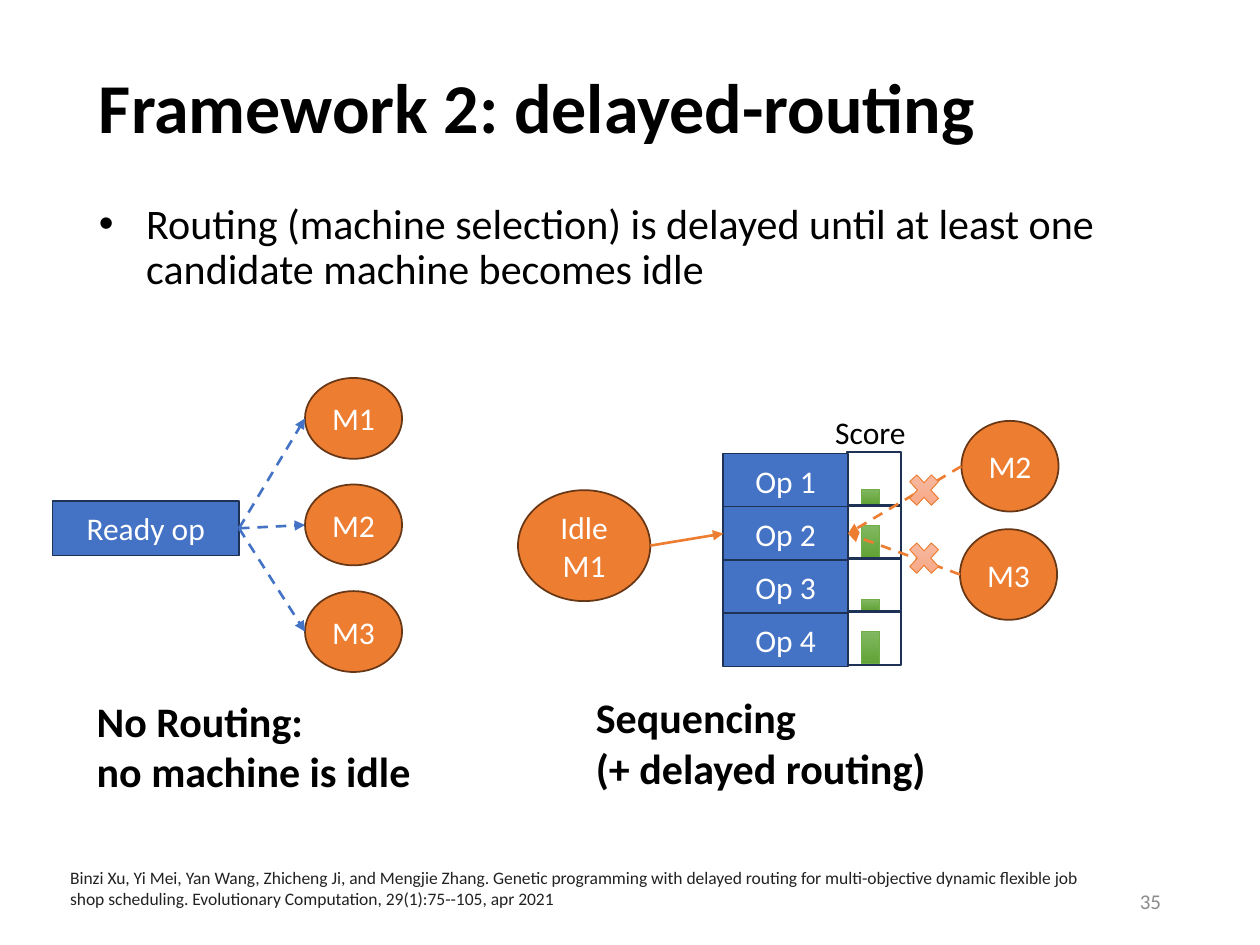
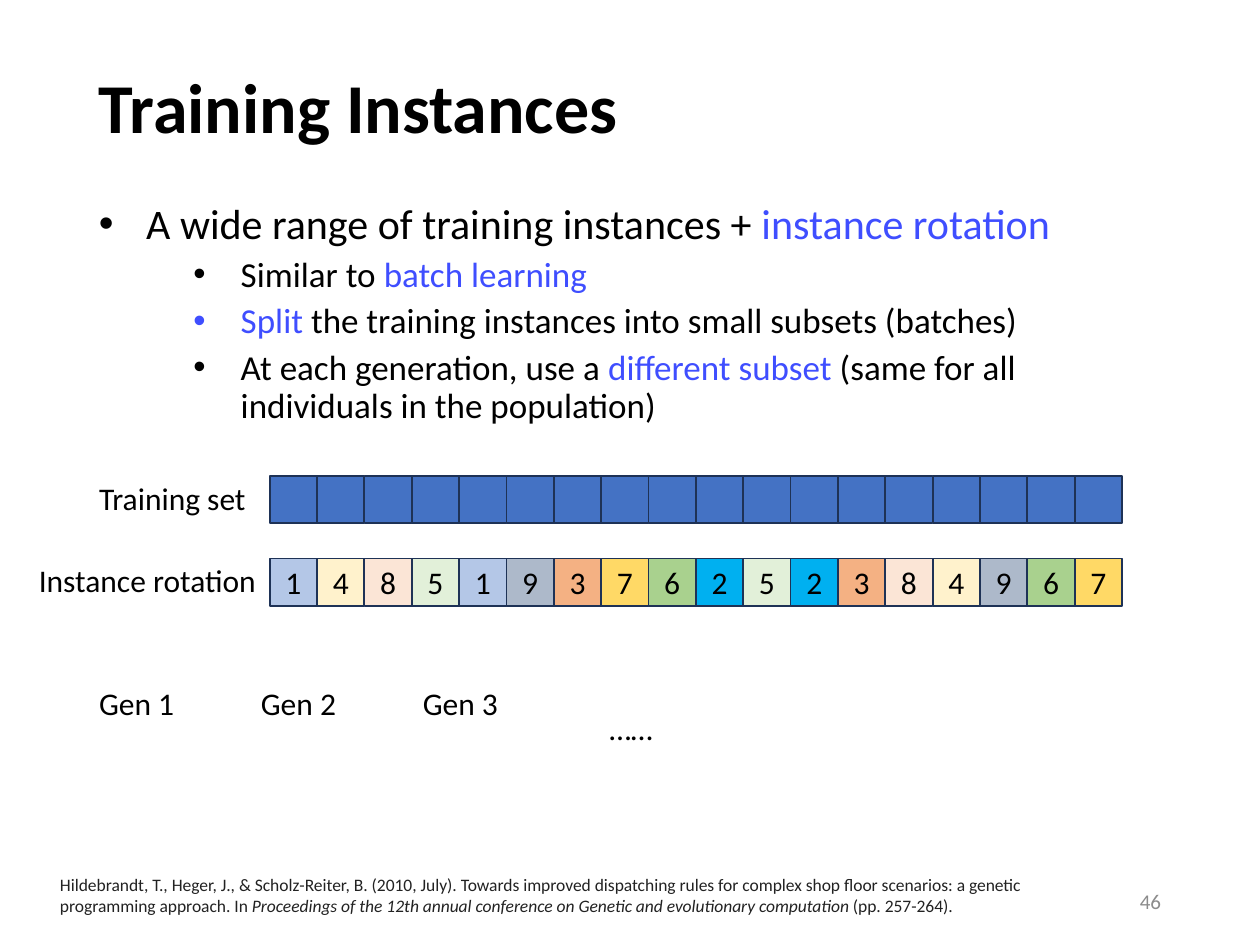
import pptx
import pptx.dml.color
import pptx.enum.dml
import pptx.enum.shapes
import pptx.enum.text
import pptx.oxml.ns
import pptx.util
from lxml import etree

Pt = pptx.util.Pt
SHAPES = pptx.enum.shapes.MSO_SHAPE
ALIGN = pptx.enum.text.PP_ALIGN
ANCHOR = pptx.enum.text.MSO_ANCHOR
qn = pptx.oxml.ns.qn

FONT = "Calibri"
BLACK, WHITE, GRAY, CITATION = "000000", "FFFFFF", "8C8C8C", "222222"
BLUE, NAVY, HIGHLIGHT = "4472C4", "1E3256", "3F4EFF"
ORANGE, BROWN = "ED7D31", "683715"
GREEN = "70AD47"
GREEN_GRADIENT = ("81B861", "62A336")
ORANGE_GRADIENT = ("F7BDA5", "F8A582")
SUBSET_COLORS = {
    1: "B4C7E7", 2: "00B0F0", 3: "F4B183", 4: "FFF2CC", 5: "E2F0D9",
    6: "A9D18E", 7: "FFD966", 8: "FBE5D6", 9: "ADB9CA",
}
ROTATION = [1, 4, 8, 5, 1, 9, 3, 7, 6, 2, 5, 2, 3, 8, 4, 9, 6, 7]


def rgb(color):
    return pptx.dml.color.RGBColor.from_string(color)


def add_run(paragraph, text, size, color=BLACK, bold=False, italic=False):
    run = paragraph.add_run()
    run.text = text
    run.font.name = FONT
    run.font.size = Pt(size)
    run.font.bold = bold
    run.font.italic = italic
    run.font.color.rgb = rgb(color)


def add_text_frame(slide, left, top, width, height, anchor=ANCHOR.TOP, wrap=True):
    box = slide.shapes.add_textbox(Pt(left), Pt(top), Pt(width), Pt(height))
    box.text_frame.word_wrap = wrap
    box.text_frame.vertical_anchor = anchor
    return box.text_frame


def add_label(slide, text, left, top, width):
    frame = add_text_frame(slide, left, top, width, 29, wrap=False)
    add_run(frame.paragraphs[0], text, 18)


def add_caption(slide, lines, left, top, width):
    frame = add_text_frame(slide, left, top, width, 65.5, wrap=False)
    for index, line in enumerate(lines):
        paragraph = frame.add_paragraph() if index else frame.paragraphs[0]
        add_run(paragraph, line, 24, bold=True)


def add_block(slide, kind, left, top, width, height, fill=None, line=NAVY,
              line_width=1, text="", color=WHITE):
    """Add a shape; fill is a colour, a (top, bottom) gradient or None."""
    shape = slide.shapes.add_shape(kind, Pt(left), Pt(top), Pt(width), Pt(height))
    shape.shadow.inherit = False
    if fill is None:
        shape.fill.background()
    elif isinstance(fill, tuple):
        shape.fill.gradient()
        shape.fill.gradient_angle = 270
        for stop, stop_color in zip(shape.fill.gradient_stops, fill):
            stop.color.rgb = rgb(stop_color)
    else:
        shape.fill.solid()
        shape.fill.fore_color.rgb = rgb(fill)
    shape.line.color.rgb = rgb(line)
    shape.line.width = Pt(line_width)
    if text:
        frame = shape.text_frame
        frame.word_wrap = True
        frame.margin_left = frame.margin_right = Pt(3)
        frame.vertical_anchor = ANCHOR.MIDDLE
        frame.paragraphs[0].alignment = ALIGN.CENTER
        add_run(frame.paragraphs[0], text, 18, color)
    return shape


def add_machine(slide, text, left, top, width, height):
    return add_block(slide, SHAPES.OVAL, left, top, width, height, ORANGE, BROWN, text=text)


def left_middle(shape):
    return shape.left, shape.top + shape.height // 2


def right_middle(shape):
    return shape.left + shape.width, shape.top + shape.height // 2


def add_arrow(slide, start, end, color, dashed=True):
    connector = slide.shapes.add_connector(
        pptx.enum.shapes.MSO_CONNECTOR.STRAIGHT, *start, *end)
    connector.line.color.rgb = rgb(color)
    connector.line.width = Pt(1.5)
    if dashed:
        connector.line.dash_style = pptx.enum.dml.MSO_LINE.DASH
    properties = connector._element.spPr
    etree.SubElement(properties.find(qn("a:ln")), qn("a:tailEnd"), type="triangle")
    etree.SubElement(properties, qn("a:effectLst"))
    return connector


def add_bullets(slide, bullets):
    """Add the body; each bullet is (level, [(text, colour), ...])."""
    frame = add_text_frame(slide, 49.5, 112.4, 621, 373.6)
    for index, (level, runs) in enumerate(bullets):
        paragraph = frame.add_paragraph() if index else frame.paragraphs[0]
        paragraph.level = level
        paragraph.line_spacing = 0.9
        if index:
            paragraph.space_before = Pt(5 if level else 10)
        properties = paragraph._p.get_or_add_pPr()
        properties.set("marL", str(Pt(81 if level else 27)))
        properties.set("indent", str(-Pt(27)))
        etree.SubElement(properties, qn("a:buFont"), typeface="Arial")
        etree.SubElement(properties, qn("a:buChar"), char="•")
        for text, color in runs:
            add_run(paragraph, text, 20 if level else 24, color)


def add_citation(slide, runs, left, top, width):
    """Add a reference made of (text, italic) runs."""
    frame = add_text_frame(slide, left, top, width, 31.5)
    for text, italic in runs:
        add_run(frame.paragraphs[0], text, 10, CITATION, italic=italic)


def new_slide(presentation, title, number):
    slide = presentation.slides.add_slide(presentation.slide_layouts[6])
    frame = add_text_frame(slide, 49.5, 28.75, 621, 69.6, ANCHOR.MIDDLE)
    frame.paragraphs[0].line_spacing = 0.9
    add_run(frame.paragraphs[0], title, 40, bold=True)
    frame = add_text_frame(slide, 508.5, 500.5, 162, 28.75, ANCHOR.MIDDLE)
    frame.paragraphs[0].alignment = ALIGN.RIGHT
    add_run(frame.paragraphs[0], number, 12, GRAY)
    return slide


def add_no_routing_panel(slide, left, top):
    ready = add_block(slide, SHAPES.RECTANGLE, left, top + 70.4, 106.6, 31, BLUE, text="Ready op")
    for index in range(3):
        machine = add_machine(slide, f"M{index + 1}", left + 144.3, top + 60.9 * index, 55.5, 46.2)
        arrow = add_arrow(slide, right_middle(ready), left_middle(machine), BLUE)
        arrow.begin_connect(ready, 3)
    add_caption(slide, ["No Routing:", "no machine is idle"], left + 18.2, top + 177.8, 198.7)


def add_operation_queue(slide, left, top):
    """Add the operations with their score bars; return the operation shapes."""
    step, side = 30.3, 30.8
    for index, height in enumerate([8.6, 18, 5.8, 18]):
        bottom = top - 0.8 + step * index + side - 1.2
        add_block(slide, SHAPES.RECTANGLE, left + 79.2, bottom - height, 10, height,
                  GREEN_GRADIENT, GREEN, 0.5)
    for index in range(4):
        add_block(slide, SHAPES.RECTANGLE, left + 70.7, top - 0.8 + step * index, side, side)
    add_label(slide, "Score", left + 56.9, top - 26.6, 55.4)
    return [
        add_block(slide, SHAPES.RECTANGLE, left, top + step * index, 71.3, side,
                  BLUE, text=f"Op {index + 1}")
        for index in range(4)
    ]


def add_sequencing_panel(slide, left, top):
    operations = add_operation_queue(slide, left + 117.3, top + 26.6)
    chosen = operations[1]
    idle = add_machine(slide, "Idle M1", left, top + 47.5, 75.6, 63.4)
    arrow = add_arrow(slide, right_middle(idle), left_middle(chosen), ORANGE, dashed=False)
    arrow.end_connect(chosen, 1)
    for text, x, y, cross_y in [("M2", 253.4, 7.9, 34.5), ("M3", 252.6, 69.8, 73.4)]:
        machine = add_machine(slide, text, left + x, top + y, 55.5, 51.8)
        arrow = add_arrow(slide, left_middle(machine), right_middle(chosen), ORANGE)
        arrow.end_connect(chosen, 3)
        add_block(slide, SHAPES.MATH_MULTIPLY, left + 220.2, top + cross_y, 23.8, 25.9,
                  ORANGE_GRADIENT, ORANGE, 0.5)
    add_caption(slide, ["Sequencing", "(+ delayed routing)"], left + 37.4, top + 159.1, 205.2)


def add_instance_row(slide, left, top, cells):
    """Add a strip of squares from (fill, text) pairs."""
    for index, (fill, text) in enumerate(cells):
        add_block(slide, SHAPES.RECTANGLE, left + 27.06 * index, top, 27.06, 27.06,
                  fill, text=text, color=BLACK)


def add_generation_labels(slide, left, top):
    for index in range(3):
        add_label(slide, f"Gen {index + 1}", left + 92.5 * index, top, 58.3)
    add_label(slide, "……", left + 291.6, top + 14.4, 40.3)


def build_delayed_routing(presentation):
    slide = new_slide(presentation, "Framework 2: delayed-routing", "35")
    add_bullets(slide, [(0, [(
        "Routing (machine selection) is delayed until at least one "
        "candidate machine becomes idle", BLACK)])])
    add_no_routing_panel(slide, 30, 216)
    add_sequencing_panel(slide, 296, 232.6)
    add_citation(slide, [(
        "Binzi Xu, Yi Mei, Yan Wang, Zhicheng Ji, and Mengjie Zhang. Genetic programming "
        "with delayed routing for multi-objective dynamic flexible job shop scheduling. "
        "Evolutionary Computation, 29(1):75--105, apr 2021", False)], 33, 491.8, 600.5)


def build_training_instances(presentation):
    slide = new_slide(presentation, "Training Instances", "46")
    add_bullets(slide, [
        (0, [("A wide range of training instances + ", BLACK), ("instance rotation", HIGHLIGHT)]),
        (1, [("Similar to ", BLACK), ("batch learning", HIGHLIGHT)]),
        (1, [("Split", HIGHLIGHT),
             (" the training instances into small subsets (batches)", BLACK)]),
        (1, [("At each generation, use a ", BLACK), ("different subset ", HIGHLIGHT),
             ("(same for all individuals in the population)", BLACK)]),
    ])
    add_label(slide, "Training set", 49.5, 270, 99.4)
    add_instance_row(slide, 154.1, 272, [(BLUE, "")] * len(ROTATION))
    add_label(slide, "Instance rotation", 15.1, 317.3, 139.7)
    add_instance_row(slide, 154.1, 319.2,
                     [(SUBSET_COLORS[subset], str(subset)) for subset in ROTATION])
    add_generation_labels(slide, 49.5, 387.4)
    add_citation(slide, [
        ("Hildebrandt, T., Heger, J., & Scholz-Reiter, B. (2010, July). Towards improved "
         "dispatching rules for complex shop floor scenarios: a genetic programming "
         "approach. In ", False),
        ("Proceedings of the 12th annual conference on Genetic and evolutionary computation",
         True),
        (" (pp. 257-264).", False)], 27.2, 496, 604)


def main():
    presentation = pptx.Presentation()
    presentation.slide_width = Pt(720)
    presentation.slide_height = Pt(540)
    build_delayed_routing(presentation)
    build_training_instances(presentation)
    presentation.save("out.pptx")


if __name__ == "__main__":
    main()
